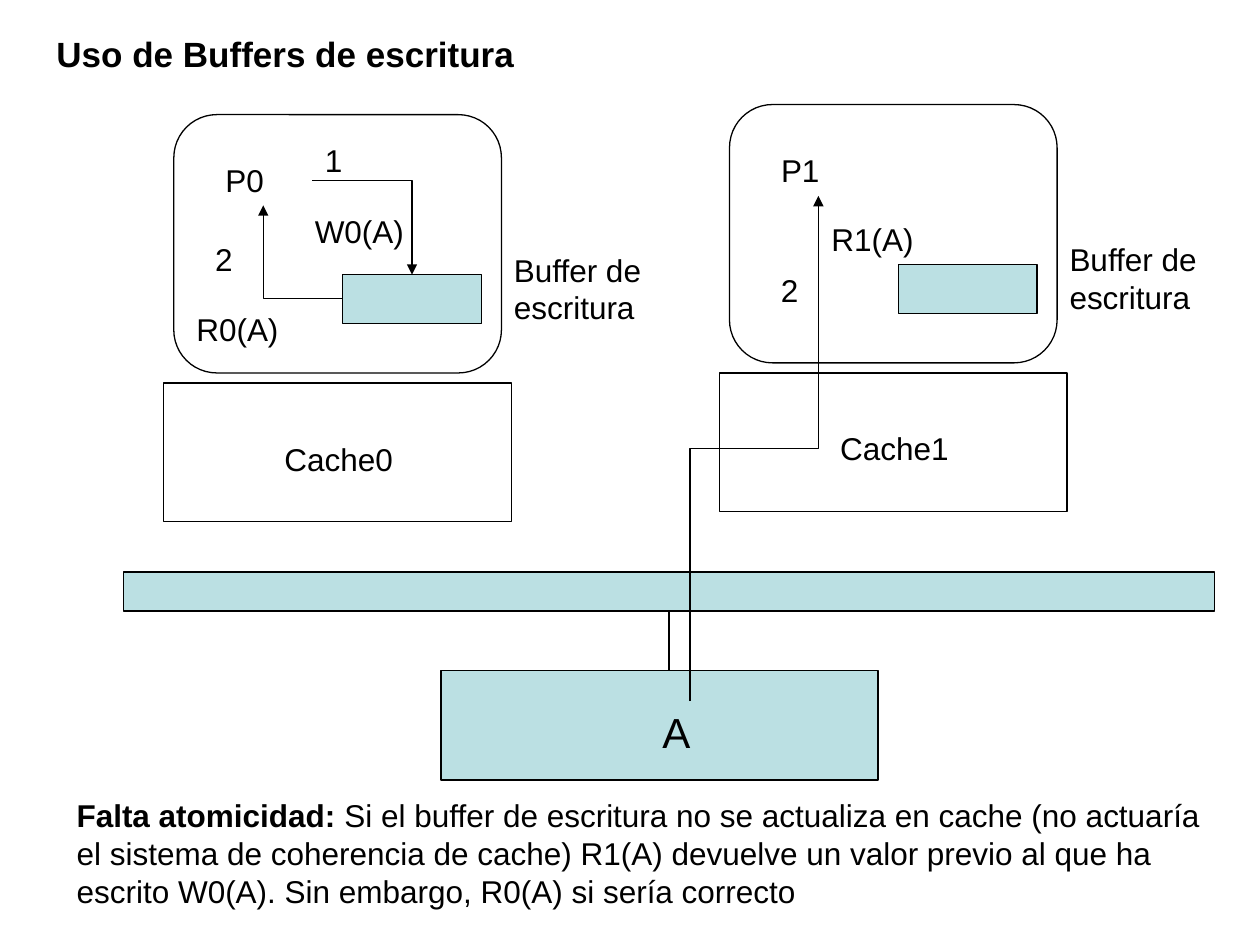
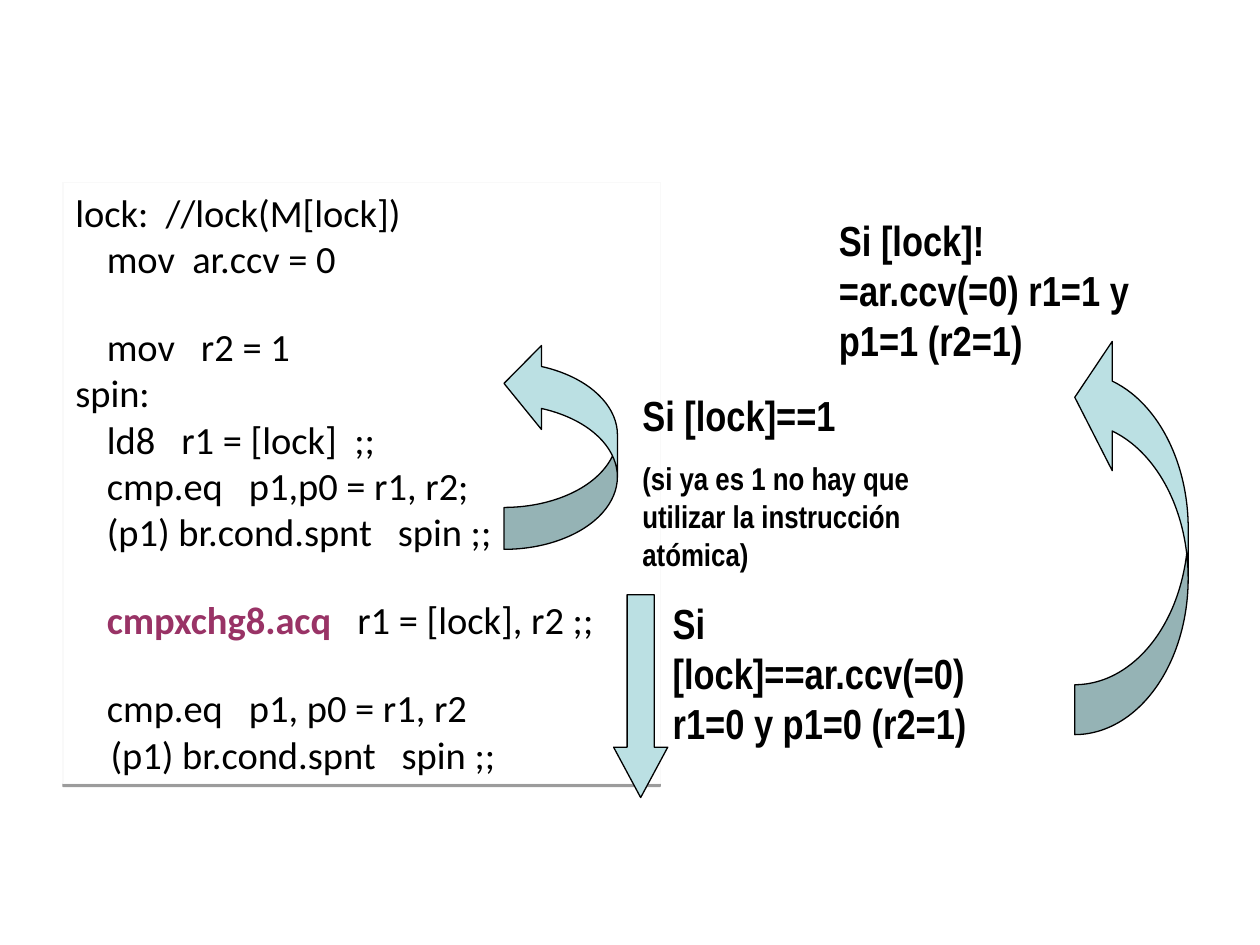
from pptx import Presentation
from pptx.dml.color import RGBColor
from pptx.enum.shapes import MSO_CONNECTOR, MSO_SHAPE
from pptx.enum.text import MSO_ANCHOR, PP_ALIGN
from pptx.oxml import parse_xml
from pptx.oxml.ns import nsdecls, qn
from pptx.util import Inches, Pt
from lxml.etree import SubElement

HUES = {"ink": "000000", "fill": "BBE0E3", "paper": "FFFFFF",
        "edge": "F9F9F9", "plum": "993366"}
BODY = {"name": "Arial", "size": Pt(18), "bold": False}
HEAD = {"name": "Arial", "size": Pt(20), "bold": True}
NOTE = {"name": "Arial Narrow", "size": Pt(24), "bold": True}
CODE = {"name": "Calibri", "size": Pt(22), "bold": False}


def write(para, text, style, hue="ink"):
    run = para.add_run()
    run.text = text
    for key, val in style.items():
        setattr(run.font, key, val)
    run.font.color.rgb = RGBColor.from_string(HUES[hue])


def draw(slide, kind, place, fill=None, text=None, style=BODY, line="ink"):
    """Add a preset shape, or a text box when kind is None."""
    area = [Inches(n) for n in place]
    if kind is None:
        item = slide.shapes.add_textbox(*area)
    else:
        item = slide.shapes.add_shape(kind, *area)
        item.shadow.inherit = False
        item.line.width = Pt(0.75)
        item.line.color.rgb = RGBColor.from_string(HUES[line])
        if fill:
            item.fill.solid()
            item.fill.fore_color.rgb = RGBColor.from_string(HUES[fill])
        else:
            item.fill.background()
    item.text_frame.word_wrap = True
    item.text_frame.vertical_anchor = MSO_ANCHOR.TOP
    if text:
        write(item.text_frame.paragraphs[0], text, style)
    return item


deck = Presentation()
deck.slide_width, deck.slide_height = Inches(10), Inches(7.5)
blank = deck.slide_layouts[6]

# Slide 1: write buffers
page = deck.slides.add_slide(blank)
draw(page, None, (0.35, 0.21, 4.57, 0.44), text="Uso de Buffers de escritura", style=HEAD)

# Bus and memory
bus = draw(page, MSO_SHAPE.RECTANGLE, (0.98, 4.54, 8.66, 0.31), "fill")
draw(page, MSO_SHAPE.RECTANGLE, (3.5, 5.32, 3.47, 0.87), "fill")
draw(page, None, (5.16, 5.56, 0.63, 0.5), text="A", style={**BODY, "size": Pt(24)})

# Two processors, each with its write buffer and cache
for num in range(2):
    dx, dy = 4.41 * num, -0.08 * num
    parts = [
        (MSO_SHAPE.ROUNDED_RECTANGLE, (1.38, 0.91, 2.6, 2.05), None, None),
        (MSO_SHAPE.RECTANGLE, (2.72, 2.18, 1.1, 0.39), "fill", None),
        (MSO_SHAPE.RECTANGLE, (1.3, 3.04, 2.76, 1.1), None, None),
        (None, (3.98, 1.94, 1.34, 0.7), None, "Buffer de escritura"),
        (None, (1.69, 1.23, 0.79, 0.4), None, f"P{num}"),
        (None, (2.16, 3.44, 1.1, 0.4), None, f"Cache{num}"),
    ]
    for kind, (x, y, w, h), fill, text in parts:
        draw(page, kind, (x + dx, y + dy, w, h), fill, text)

# Steps and accesses
for x, y, w, text in [(2.48, 1.07, 0.47, "1"), (1.61, 1.86, 0.47, "2"),
                      (6.1, 2.1, 0.47, "2"), (2.4, 1.63, 1.26, "W0(A)"),
                      (1.46, 2.41, 1.26, "R0(A)"), (6.5, 1.7, 1.26, "R1(A)")]:
    draw(page, None, (x, y, w, 0.4), text=text)

# Paths: ends, preset, quarter turns; only the bus link is straight
paths = [
    ((2.48, 1.43, 3.27, 2.18), "bentConnector2", 0),
    ((2.72, 2.37, 2.09, 1.63), "bentConnector2", 0),
    ((7.99, 4.07, 3.98, 3.05), "bentConnector3", 1),
    ((5.31, 4.85, 5.31, 5.32), "line", 0),
]
for ends, form, turn in paths:
    link = page.shapes.add_connector(MSO_CONNECTOR.ELBOW, *[Inches(n) for n in ends])
    link.line.width = Pt(0.75)
    link.line.color.rgb = RGBColor.from_string(HUES["ink"])
    props = link._element.spPr
    props.find(qn("a:prstGeom")).set("prst", form)
    SubElement(props, qn("a:effectLst"))
    if turn:
        props.find(qn("a:xfrm")).set("rot", str(turn * 5400000))
    if form == "line":
        link.begin_connect(bus, 2)
    else:
        SubElement(props.find(qn("a:ln")), qn("a:tailEnd"), type="triangle")

# Conclusion
para = draw(page, None, (0.51, 6.27, 9.13, 1)).text_frame.paragraphs[0]
write(para, "Falta atomicidad:", {**BODY, "bold": True})
write(para, " Si el buffer de escritura no se actualiza en cache (no actuaría el "
      "sistema de coherencia de cache) R1(A) devuelve un valor previo al que ha "
      "escrito W0(A). Sin embargo, R0(A) si sería correcto", BODY)

# Slide 2: lock code
page = deck.slides.add_slide(blank)
panel = draw(page, MSO_SHAPE.RECTANGLE, (0.5, 1.45, 4.74, 4.77), "paper", line="edge")
panel._element.spPr.find(qn("a:effectLst")).append(parse_xml(
    f'<a:outerShdw {nsdecls("a")} dist="20320" dir="5400000" rotWithShape="0">'
    f'<a:srgbClr val="{HUES["ink"]}"><a:alpha val="38000"/></a:srgbClr></a:outerShdw>'))

# Each row: indent, space before, plum word, rest
rows = [
    (0, 0, "", "lock:  //lock(M[lock])"),
    (0.25, 0, "", "mov  ar.ccv = 0"),
    (0.25, 24, "", "mov   r2 = 1"),
    (0, 0, "", "spin:"),
    (0.25, 0, "", "ld8   r1 = [lock]  ;;"),
    (0.25, 0, "", "cmp.eq   p1,p0 = r1, r2;"),
    (0.25, 0, "", "(p1) br.cond.spnt   spin ;;"),
    (0.25, 24, "cmpxchg8.acq   ", "r1 = [lock], r2 ;;"),
    (0.25, 24, "", "cmp.eq   p1, p0 = r1, r2"),
    (0.28, 0, "", "(p1) br.cond.spnt   spin ;;"),
]
frame = panel.text_frame
for num, (dent, gap, word, rest) in enumerate(rows):
    para = frame.add_paragraph() if num else frame.paragraphs[0]
    para.alignment = PP_ALIGN.LEFT
    para.space_before = Pt(gap)
    props = para._p.get_or_add_pPr()
    props.set("marL", str(Inches(dent)))
    props.set("indent", "0")
    if word:
        write(para, word, {**CODE, "bold": True}, "plum")
    write(para, rest, CODE)

# Notes on each outcome
spin = draw(page, None, (5, 3.04, 2.97, 1.56), text="Si [lock]==1", style=NOTE)
para = spin.text_frame.add_paragraph()
para.space_before = Pt(11.2)
write(para, "(si ya es 1 no hay que utilizar la instrucción atómica)",
      {**NOTE, "size": Pt(18)})
for x, y, text in [(5.24, 4.69, "Si [lock]==ar.ccv(=0) r1=0 y p1=0 (r2=1)"),
                   (6.56, 1.65, "Si [lock]!=ar.ccv(=0) r1=1 y p1=1 (r2=1)")]:
    draw(page, None, (x, y, 2.68, 1.3), text=text, style=NOTE)

# Flow arrows
for kind, place, turn, bends in [
        (MSO_SHAPE.DOWN_ARROW, (4.87, 4.72, 0.43, 1.61), 0, (0.5, 0.93)),
        (MSO_SHAPE.CURVED_RIGHT_ARROW, (4, 2.71, 0.9, 1.65), 180, (0.37, 0.74, 0.33)),
        (MSO_SHAPE.CURVED_RIGHT_ARROW, (8.53, 2.64, 0.9, 3.19), 180, (0.44, 1.14, 0.33))]:
    arrow = draw(page, kind, place, "fill")
    arrow.rotation = turn
    for num, bend in enumerate(bends):
        arrow.adjustments[num] = bend

deck.save("out.pptx")
